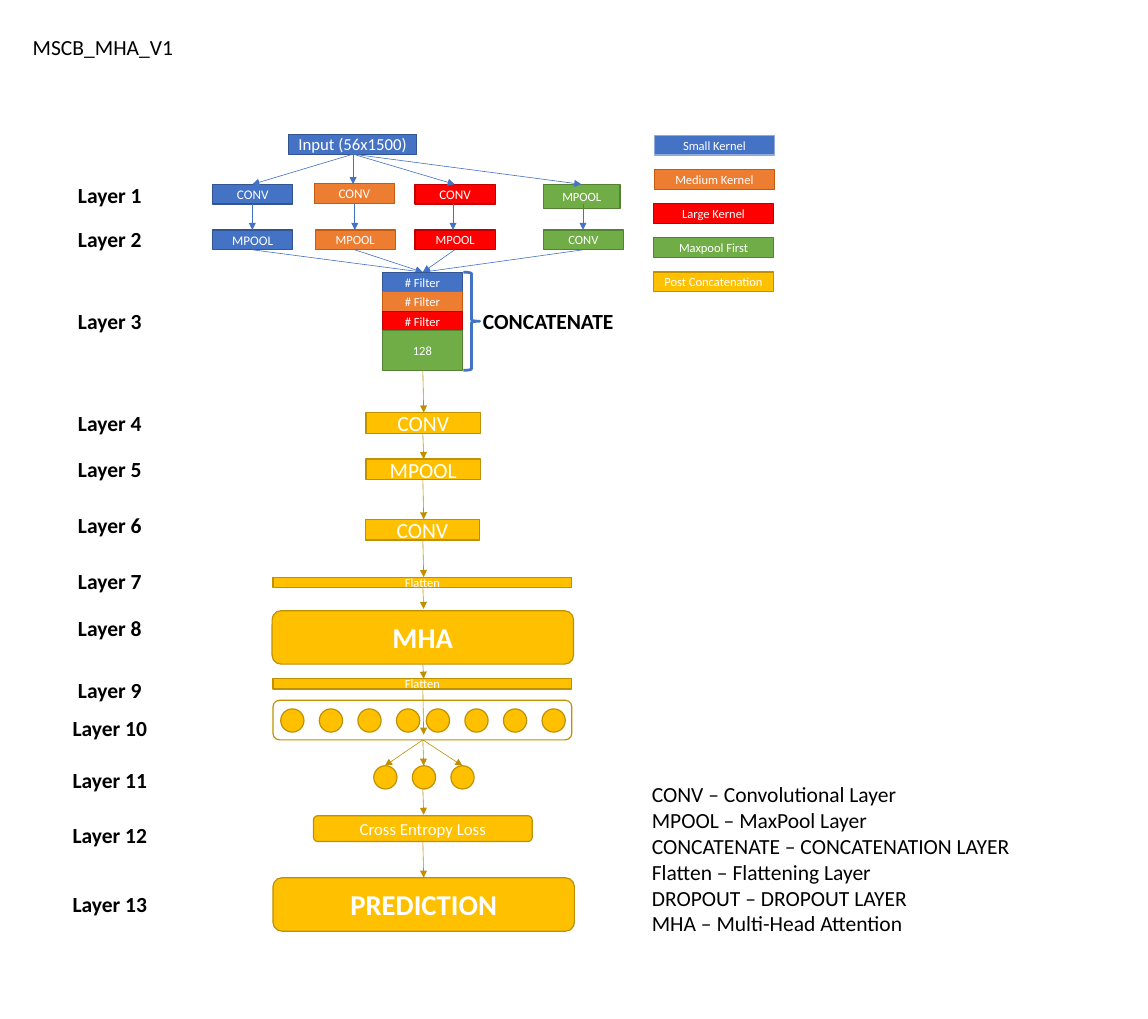
from pptx import Presentation
from pptx.dml.color import RGBColor
from pptx.enum import shapes, text
from pptx.oxml import ns, xmlchemy
from pptx.util import Inches, Pt

KIND = shapes.MSO_SHAPE
# Fill and line of each group of layers
BLUE = ("4472C4", "325491")
ORANGE = ("ED7D31", "C55A11")
RED = ("FF0000", "C00000")
GREEN = ("70AD47", "548235")
GOLD = ("FFC000", "BF9000")
MID = 4.91  # x of the main flow

LAYER_TOPS = [2.06, 2.58, 3.53, 4.71, 5.25, 5.9, 6.54, 7.09, 7.81,
              8.25, 8.85, 9.49, 10.3]
GLOSSARY = [
    "CONV – Convolutional Layer",
    "MPOOL – MaxPool Layer",
    "CONCATENATE – CONCATENATION LAYER",
    "Flatten – Flattening Layer",
    "DROPOUT – DROPOUT LAYER",
    "MHA – Multi-Head Attention",
]
KERNELS = [
    ("Small Kernel", 7.6, ("4472C4", "8FAADC")),
    ("Medium Kernel", 7.6, ORANGE),
    ("Large Kernel", 7.59, RED),
    ("Maxpool First", 7.59, GREEN),
    ("Post Concatenation", 7.59, GOLD),
]


def rgb(value):
    return RGBColor.from_string(value)


def style(p, size, color="000000", bold=False, align=text.PP_ALIGN.LEFT):
    p.alignment = align
    p.font.name = "Calibri"
    p.font.size = Pt(size)
    p.font.bold = bold
    p.font.color.rgb = rgb(color)


def add_label(s, box, lines, **look):
    sp = s.shapes.add_textbox(*map(Inches, box))
    tf = sp.text_frame
    tf.word_wrap = True
    tf.auto_size = text.MSO_AUTO_SIZE.SHAPE_TO_FIT_TEXT
    tf.text = "\n".join(lines)
    for p in tf.paragraphs:
        style(p, 18, **look)


def add_block(s, box, colors, caption="", size=10.5, kind=KIND.RECTANGLE,
              bold=False, weight=1):
    fill, line = colors
    sp = s.shapes.add_shape(kind, *map(Inches, box))
    sp.shadow.inherit = False
    if fill:
        sp.fill.solid()
        sp.fill.fore_color.rgb = rgb(fill)
    else:
        sp.fill.background()
    sp.line.color.rgb = rgb(line)
    sp.line.width = Pt(weight)
    if caption:
        tf = sp.text_frame
        tf.margin_left = tf.margin_right = 0
        tf.margin_top = tf.margin_bottom = 0
        tf.vertical_anchor = text.MSO_ANCHOR.MIDDLE
        tf.text = caption
        style(tf.paragraphs[0], size, "FFFFFF", bold, text.PP_ALIGN.CENTER)


def add_neurons(s, left, top, count):
    for i in range(count):
        add_block(s, (left + 0.448 * i, top, 0.27, 0.27), GOLD, kind=KIND.OVAL)


def add_arrow(s, start, end, color):
    sp = s.shapes.add_connector(shapes.MSO_CONNECTOR.STRAIGHT,
                                *map(Inches, start + end))
    sp.line.color.rgb = rgb(color)
    sp.line.width = Pt(0.5)
    head = xmlchemy.OxmlElement("a:tailEnd")
    head.set("type", "triangle")
    sp.line._get_or_add_ln().append(head)
    props = sp._element.find(ns.qn("p:spPr"))
    props.append(xmlchemy.OxmlElement("a:effectLst"))


def add_title(s, caption):
    sp = s.shapes.title
    sp.left, sp.top, sp.width, sp.height = map(Inches, (0.28, 0.35, 2.5, 0.4))
    tf = sp.text_frame
    tf.auto_size = text.MSO_AUTO_SIZE.NONE
    tf.vertical_anchor = text.MSO_ANCHOR.TOP
    tf.text = caption
    style(tf.paragraphs[0], 18)


def add_branches(s):
    # Input and the four parallel branches: colours, boxes, arrow x values
    add_block(s, (3.35, 1.56, 1.49, 0.23), BLUE, "Input (56x1500)", 14)
    branches = [
        (BLUE, (2.47, 2.14, 0.93, 0.23), "CONV", 11, 2.47, "MPOOL", 11,
         (2.93, 2.93, 2.93)),
        (ORANGE, (3.65, 2.13, 0.93, 0.23), "CONV", 11, 3.66, "MPOOL", 10.5,
         (4.1, 4.12, 4.12)),
        (RED, (4.82, 2.14, 0.93, 0.23), "CONV", 11, 4.82, "MPOOL", 10.5,
         (5.28, 5.26, 5.28)),
        (GREEN, (6.31, 2.14, 0.89, 0.28), "MPOOL", 10.5, 6.31, "CONV", 10.5,
         (6.75, 6.77, 6.77)),
    ]
    for colors, box, first, size1, left, second, size2, xs in branches:
        add_block(s, box, colors, first, size1)
        add_block(s, (left, 2.67, 0.93, 0.23), colors, second, size2)
        add_arrow(s, (4.1, 1.79), (xs[0], 2.14), BLUE[0])
        add_arrow(s, (xs[1], 2.37), (xs[1], 2.67), BLUE[0])
        add_arrow(s, (xs[2], 2.9), (MID, 3.16), BLUE[0])

    # Concatenated filters
    for i, colors in enumerate((BLUE, ORANGE, RED)):
        add_block(s, (4.44, 3.16 + 0.227 * i, 0.93, 0.23), colors, "# Filter")
    add_block(s, (4.44, 3.84, 0.93, 0.46), GREEN, "128")
    add_block(s, (5.38, 3.16, 0.19, 1.14), (None, BLUE[0]),
              kind=KIND.RIGHT_BRACE, weight=2.25)
    add_label(s, (5.51, 3.53, 1.73, 0.4), ["CONCATENATE"], bold=True)


def add_main_flow(s):
    for left, top, caption in ((4.25, 4.79, "CONV"), (4.25, 5.33, "MPOOL"),
                               (4.24, 6.03, "CONV")):
        add_block(s, (left, top, 1.33, 0.24), GOLD, caption, 18)
    for top in (6.7, 7.88):
        add_block(s, (3.17, top, 3.47, 0.12), GOLD, "Flatten")
    rounded = KIND.ROUNDED_RECTANGLE
    add_block(s, (3.16, 7.09, 3.5, 0.62), GOLD, "MHA", 24, rounded, True)
    add_block(s, (3.64, 9.47, 2.54, 0.3), GOLD, "Cross Entropy Loss", 14,
              rounded)
    add_block(s, (3.17, 10.19, 3.5, 0.62), GOLD, "PREDICTION", 24, rounded,
              True)

    # Dense layers
    add_block(s, (3.17, 8.13, 3.47, 0.46), (None, GOLD[1]), kind=rounded)
    add_neurons(s, 3.26, 8.23, 4)
    add_neurons(s, 4.95, 8.23, 4)
    add_neurons(s, 4.34, 8.89, 3)

    # Arrows down the flow, then the fan to the output neurons
    for top, bottom in ((4.3, 4.79), (5.03, 5.33), (5.57, 6.03), (6.27, 6.7),
                        (6.82, 7.07), (7.71, 7.88), (8, 8.53), (9.16, 9.46),
                        (9.77, 10.19)):
        add_arrow(s, (MID, top), (4.92, bottom), GOLD[1])
    for x in (4.47, 4.92, 5.37):
        add_arrow(s, (MID, 8.59), (x, 8.89), GOLD[1])


def main():
    prs = Presentation()
    prs.slide_width, prs.slide_height = Inches(13.33), Inches(11.83)
    s = prs.slides.add_slide(prs.slide_layouts[5])
    add_title(s, "MSCB_MHA_V1")

    # Layer names
    for number, top in enumerate(LAYER_TOPS, 1):
        add_label(s, (0.41, top, 1.73, 0.4), [f"Layer {number}"], bold=True,
                  align=text.PP_ALIGN.CENTER)

    add_branches(s)
    add_main_flow(s)

    # Colour key and glossary
    for i, (caption, left, colors) in enumerate(KERNELS):
        add_block(s, (left, 1.57 + 0.397 * i, 1.39, 0.23), colors, caption)
    add_label(s, (7.47, 9.02, 4.39, 1.92), GLOSSARY)

    prs.save("out.pptx")


if __name__ == "__main__":
    main()
